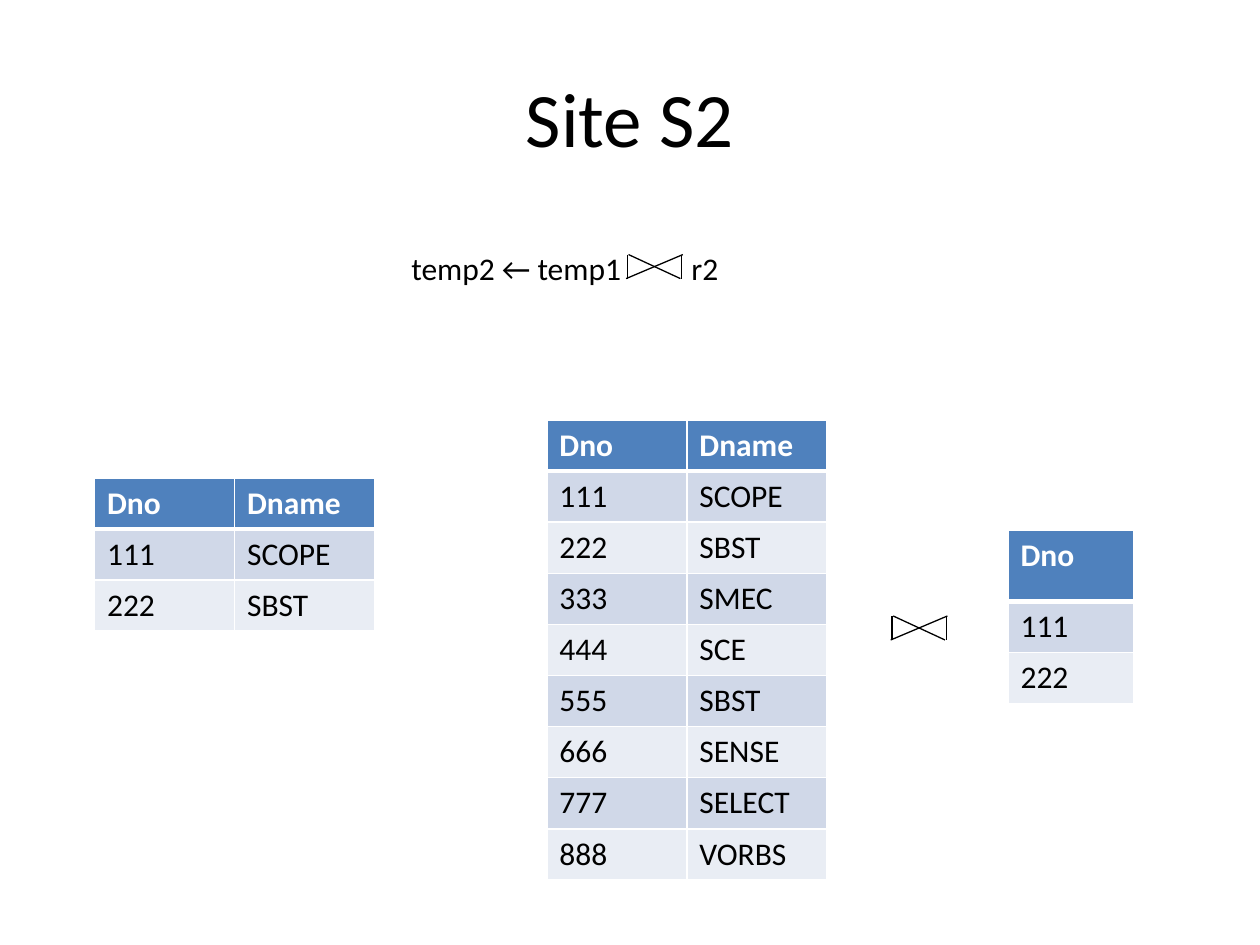
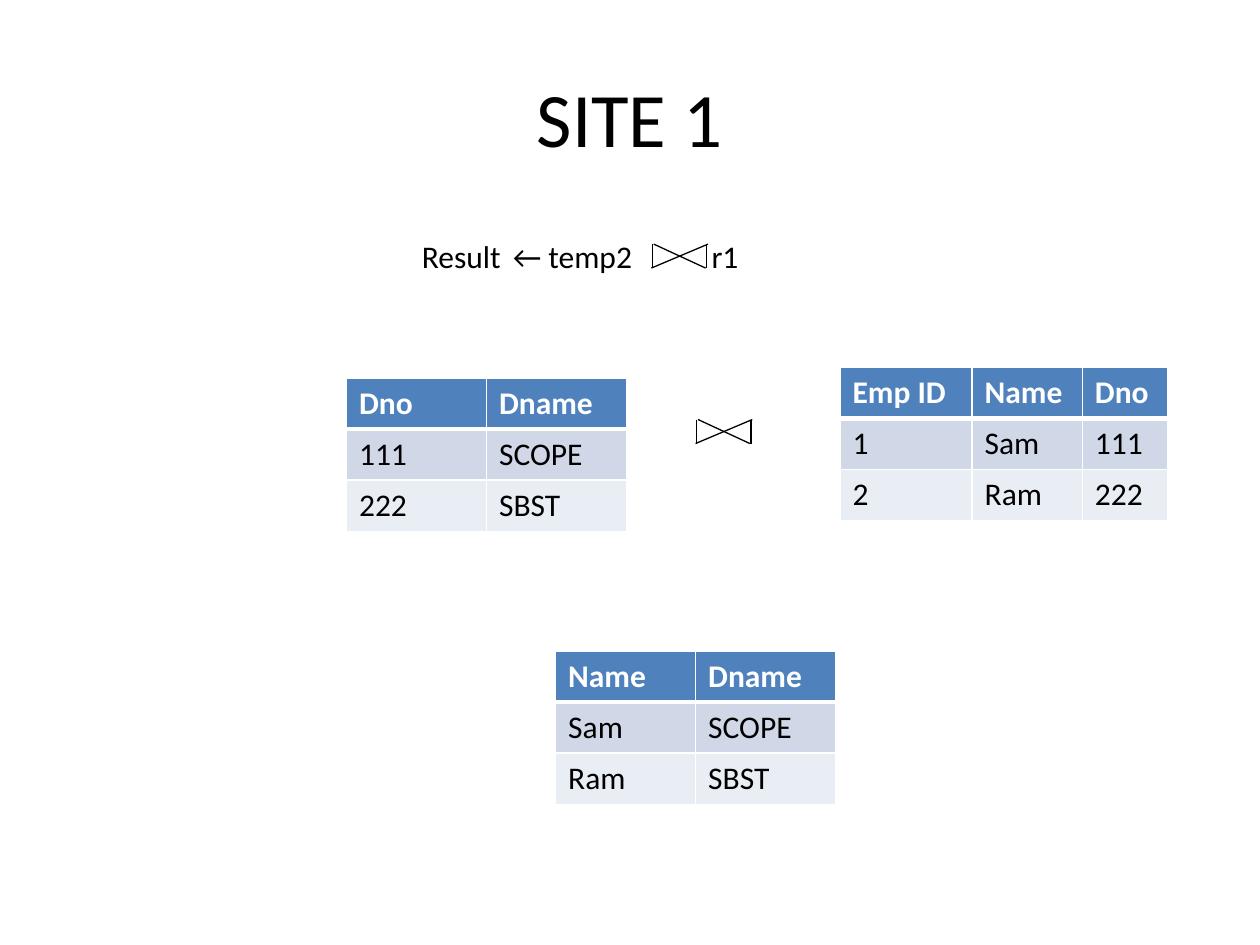
from lxml import etree
from pptx import Presentation
from pptx.dml.color import RGBColor
from pptx.enum import shapes as kinds, text as txt
from pptx.oxml import ns
from pptx.util import Pt

FONT = "Calibri"
BLACK, WHITE = "000000", "FFFFFF"
HEADER, BANDS = "4F81BD", ("D0D8E8", "E9EDF4")
ROW_HEIGHT = 29.2
JOIN_SIZE = (32.4, 13.7)
TITLE_BOX = (36, 21.6, 648, 90)
TITLE_FORMAT = {"name": FONT, "size": Pt(44), "bold": False}
BODY_FORMAT = {"name": FONT, "size": Pt(18), "bold": False}
HEADER_FORMAT = {**BODY_FORMAT, "bold": True}

PAIR_WIDTHS = (80, 80)
TEMP2 = [("Dno", "Dname"), ("111", "SCOPE"), ("222", "SBST")]
R2 = TEMP2 + [("333", "SMEC"), ("444", "SCE"), ("555", "SBST"),
              ("666", "SENSE"), ("777", "SELECT"), ("888", "VORBS")]
TEMP1 = [("Dno",), ("111",), ("222",)]
R1 = [("Emp ID", "Name", "Dno"), ("1", "Sam", "111"), ("2", "Ram", "222")]
RESULT = [("Name", "Dname"), ("Sam", "SCOPE"), ("Ram", "SBST")]


def colour(hex_value):
    return RGBColor.from_string(hex_value)


def apply_format(target, values):
    for key, value in values.items():
        setattr(target, key, value)


def format_text(paragraph, values, ink=BLACK):
    for run in paragraph.runs:
        apply_format(run.font, values)
        run.font.color.rgb = colour(ink)


def add_titled_slide(deck, heading):
    slide = deck.slides.add_slide(deck.slide_layouts[5])
    title = slide.shapes.title
    edges = map(Pt, TITLE_BOX)
    apply_format(title, dict(zip(("left", "top", "width", "height"), edges)))
    title.text_frame.text = heading
    title.text_frame.vertical_anchor = txt.MSO_ANCHOR.MIDDLE
    paragraph = title.text_frame.paragraphs[0]
    paragraph.alignment = txt.PP_ALIGN.CENTER
    format_text(paragraph, TITLE_FORMAT)
    return slide


def add_formula(slide, left, top, width, wording, stops, join_left, join_top):
    formula = slide.shapes.add_textbox(Pt(left), Pt(top), Pt(width), Pt(29))
    formula.text_frame.word_wrap = True
    paragraph = formula.text_frame.paragraphs[0]
    paragraph.text = wording
    format_text(paragraph, BODY_FORMAT)
    tabs = etree.SubElement(paragraph._p.get_or_add_pPr(), ns.qn("a:tabLst"))
    for stop in stops:
        etree.SubElement(tabs, ns.qn("a:tab"), pos=str(Pt(stop)), algn="l")
    add_join(slide, left + join_left, top + join_top)


def add_join(slide, left, top):
    width, height = JOIN_SIZE
    join = slide.shapes.add_group_shape()
    strokes = [(0.7, 0.7), (width - 0.7, width - 0.7),
               (1.4, width - 1.4), (width, 0)]
    for start, end in strokes:
        stroke = join.shapes.add_connector(
            kinds.MSO_CONNECTOR.STRAIGHT, Pt(left + start), Pt(top),
            Pt(left + end), Pt(top + height))
        stroke.line.color.rgb = colour(BLACK)
        stroke.line.width = Pt(0.75)
        etree.SubElement(stroke._element.spPr, ns.qn("a:effectLst"))


def set_borders(cell, weights):
    properties = cell._tc.get_or_add_tcPr()
    for side, weight in weights.items():
        border = etree.SubElement(properties, ns.qn("a:ln" + side),
                                  w=str(Pt(weight)))
        paint = etree.SubElement(border, ns.qn("a:solidFill"))
        etree.SubElement(paint, ns.qn("a:srgbClr"), val=WHITE)


def add_relation(slide, left, top, widths, records, header_height=ROW_HEIGHT):
    heights = [header_height] + [ROW_HEIGHT] * (len(records) - 1)
    relation = slide.shapes.add_table(
        len(records), len(widths), Pt(left), Pt(top),
        Pt(sum(widths)), Pt(sum(heights))).table
    for column, width in zip(relation.columns, widths):
        column.width = Pt(width)
    for index, (record, height) in enumerate(zip(records, heights)):
        relation.rows[index].height = Pt(height)
        is_header = index == 0
        weights = {"L": 1, "R": 1, "T": 3 if index == 1 else 1,
                   "B": 3 if is_header else 1}
        for position, value in enumerate(record):
            cell = relation.cell(index, position)
            cell.text = value
            format_text(cell.text_frame.paragraphs[0],
                        HEADER_FORMAT if is_header else BODY_FORMAT,
                        WHITE if is_header else BLACK)
            set_borders(cell, weights)
            cell.fill.solid()
            cell.fill.fore_color.rgb = colour(
                HEADER if is_header else BANDS[(index - 1) % 2])


def build_site_2(deck):
    slide = add_titled_slide(deck, "Site S2")
    add_relation(slide, 312.5, 240, PAIR_WIDTHS, R2)
    add_relation(slide, 576, 302.75, (72,), TEMP1, header_height=41)
    add_formula(slide, 228, 138.5, 195, "temp2 ← temp1\tr2", (160,), 129.8, 7)
    add_join(slide, 509, 352)
    add_relation(slide, 54, 273, PAIR_WIDTHS, TEMP2)


def build_site_1(deck):
    slide = add_titled_slide(deck, "SITE 1")
    add_formula(slide, 234, 132, 204, "Result\t← temp2\tr1", (52, 165.5),
                138.2, 7.5)
    add_relation(slide, 198, 216, PAIR_WIDTHS, TEMP2)
    add_relation(slide, 480, 210, (75.5, 63, 49), R1)
    add_join(slide, 397.5, 239.75)
    add_relation(slide, 317.5, 372, PAIR_WIDTHS, RESULT)


def main():
    deck = Presentation()
    apply_format(deck, {"slide_width": Pt(720), "slide_height": Pt(540)})
    build_site_2(deck)
    build_site_1(deck)
    deck.save("out.pptx")


if __name__ == "__main__":
    main()
